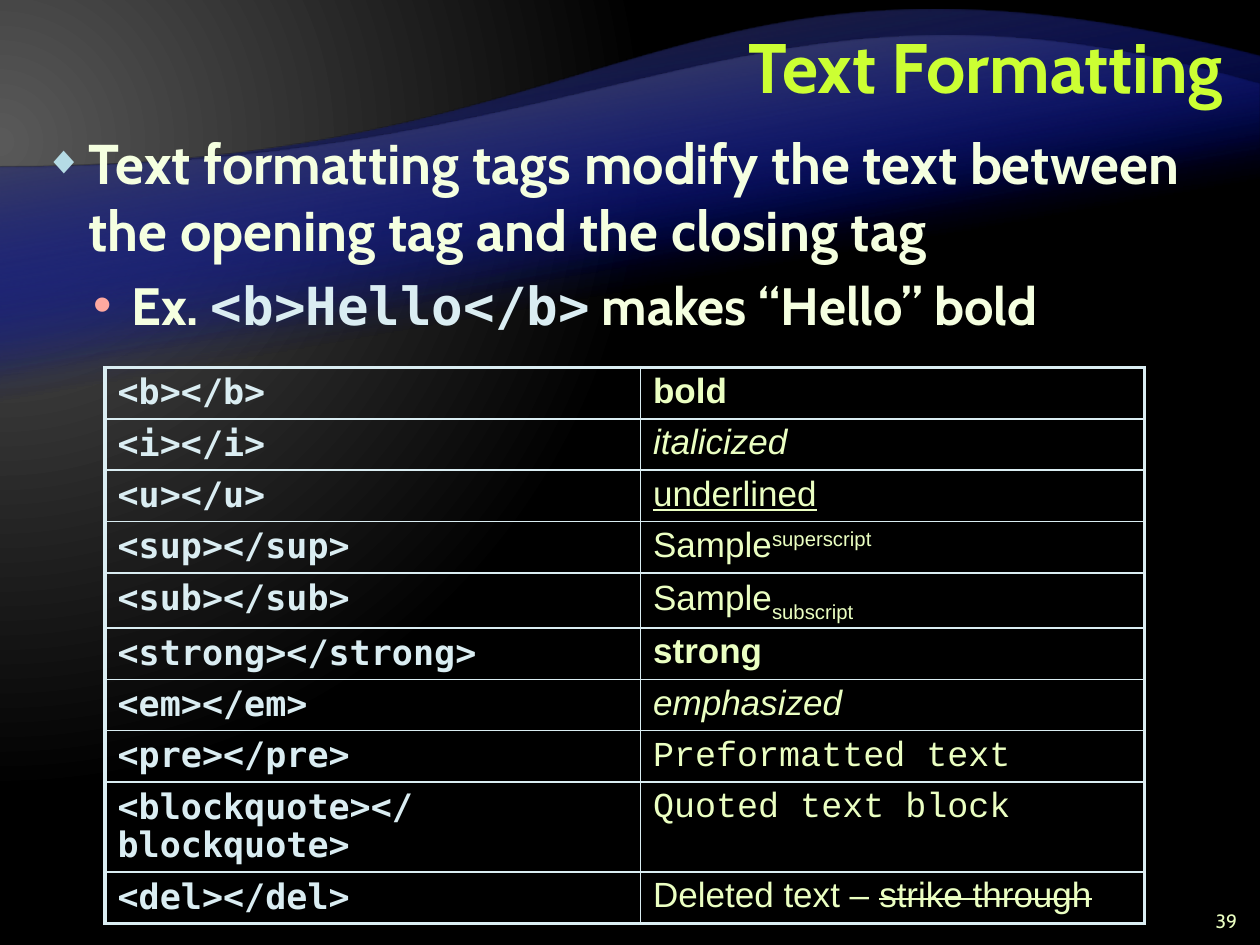
from lxml.etree import SubElement
from pptx import Presentation
from pptx.dml.color import RGBColor
from pptx.enum.text import MSO_ANCHOR, MSO_AUTO_SIZE, PP_ALIGN
from pptx.oxml import parse_xml
from pptx.oxml.ns import qn
from pptx.util import Pt

COLORS = {
    "title": "CCFF33", "body": "F5FFE0", "code": "DAEDF2", "sample": "EBFFC2",
    "diamond": "B5DBE5", "dot": "FFA9A0", "blue": "000D9E",
    "gray": "595959", "dark": "262626", "black": "000000",
}
NAMESPACE = 'xmlns:a="http://schemas.openxmlformats.org/drawingml/2006/main"'
SLIDE_WIDTH, SLIDE_HEIGHT = 720, 540

TITLE = {"size": Pt(40), "name": "Cabin", "bold": True, "color": "title"}
BODY = {"size": Pt(32), "name": "Cabin", "bold": True, "color": "body"}
SUB_BODY = {**BODY, "size": Pt(30)}
SUB_CODE = {**SUB_BODY, "name": "DejaVu Sans Mono", "color": "code"}
CODE = {**SUB_CODE, "size": Pt(20)}
SAMPLE = {"size": Pt(20), "name": "Arial", "bold": False, "color": "sample"}
MONO = {**SAMPLE, "name": "Courier New"}
NUMBER = {**SAMPLE, "size": Pt(11), "name": "Cabin"}

# Tag name and the runs that show its effect
TAGS = [
    ("b", [("bold", {**SAMPLE, "bold": True})]),
    ("i", [("italicized", {**SAMPLE, "italic": True})]),
    ("u", [("underlined", {**SAMPLE, "underline": True})]),
    ("sup", [("Sample", SAMPLE), ("superscript", {**SAMPLE, "xml": {"baseline": "30000"}})]),
    ("sub", [("Sample", SAMPLE), ("subscript", {**SAMPLE, "xml": {"baseline": "-25000"}})]),
    ("strong", [("strong", {**SAMPLE, "bold": True})]),
    ("em", [("emphasized", {**SAMPLE, "italic": True})]),
    ("pre", [("Preformatted text", MONO)]),
    ("blockquote", [("Quoted text block", MONO)]),
    ("del", [("Deleted text – ", SAMPLE),
             ("strike through", {**SAMPLE, "xml": {"strike": "sngStrike"}})]),
]

# Waves: right edge, bottom, left edge, second control point, gradient end
WAVES = [
    (32.4, 470.2, 95.8, (384.5, -54), "dark"),
    (48.2, 401, 95.8, (430.6, -35.3), "gray"),
]


def gradient(stops, direction):
    """Return a gradFill; a stop is position, colour name and opacity."""
    stop_xml = "".join(
        f'<a:gs pos="{position * 1000}"><a:srgbClr val="{COLORS[color]}">'
        f'<a:alpha val="{opacity * 1000}"/></a:srgbClr></a:gs>'
        for position, color, opacity in stops)
    return parse_xml(f'<a:gradFill {NAMESPACE} rotWithShape="1"><a:gsLst>{stop_xml}'
                     f'</a:gsLst>{direction}</a:gradFill>')


def replace_gradient(fill, parent, new_gradient):
    fill.gradient()
    old_gradient = next(parent.iter(qn("a:gradFill")))
    old_gradient.getparent().replace(old_gradient, new_gradient)


def paint_background(slide):
    direction = ('<a:path path="circle"><a:fillToRect l="20000" t="30000" '
                 'r="135000" b="100000"/></a:path>')
    replace_gradient(slide.background.fill, slide.element,
                     gradient([(0, "gray", 100), (83, "black", 100)], direction))


def add_wave(slide, right, bottom, left, control, end_color):
    """Draw a wave upside down, then turn it so that its gradient turns too."""
    def turn(x, y):
        return Pt(SLIDE_WIDTH - x), Pt(right + bottom - y)

    corners = [turn(*point) for point in
               ((SLIDE_WIDTH, bottom), (0, bottom), (0, left), (SLIDE_WIDTH, right))]
    builder = slide.shapes.build_freeform(*corners[0])
    builder.add_line_segments(corners[1:], close=True)
    shape = builder.convert_to_shape()

    # The crest is one curve in place of the last straight side
    crest = list(shape.element.iter(qn("a:lnTo")))[2]
    curve = parse_xml(f'<a:cubicBezTo {NAMESPACE}/>')
    for point in ((SLIDE_WIDTH / 2, left), control, (SLIDE_WIDTH, right)):
        x, y = turn(*point)
        node = SubElement(curve, qn("a:pt"))
        node.set("x", str(x))
        node.set("y", str(y - Pt(right)))
    crest.getparent().replace(crest, curve)

    shape.rotation = 180
    shape.shadow.inherit = False
    shape.line.fill.background()
    replace_gradient(shape.fill, shape.element,
                     gradient([(65, "blue", 0), (100, end_color, 100)],
                              '<a:lin ang="4800000" scaled="0"/>'))


def add_runs(paragraph, runs):
    for text, formats in runs:
        run = paragraph.add_run()
        run.text = text
        for name, value in formats.items():
            if name == "color":
                run.font.color.rgb = RGBColor.from_string(COLORS[value])
            elif name == "xml":
                for key, setting in value.items():
                    run.font._element.set(key, setting)
            else:
                setattr(run.font, name, value)


def place(shape, left, top, width, height):
    for name, value in zip(("left", "top", "width", "height"), (left, top, width, height)):
        setattr(shape, name, Pt(value))


def format_bullet(paragraph, margin, indent, character, color, size):
    properties = paragraph._p.get_or_add_pPr()
    properties.set("marL", str(Pt(margin)))
    properties.set("indent", str(Pt(-indent)))
    space = SubElement(properties, qn("a:spcBef"))
    SubElement(space, qn("a:spcPct")).set("val", "20000")
    bullet_color = SubElement(properties, qn("a:buClr"))
    SubElement(bullet_color, qn("a:srgbClr")).set("val", COLORS[color])
    SubElement(properties, qn("a:buSzPct")).set("val", str(size * 1000))
    SubElement(properties, qn("a:buFont")).set("typeface", "Arial")
    SubElement(properties, qn("a:buChar")).set("char", character)


def fill_title(slide):
    title = slide.shapes.title
    place(title, 190, 6, 516, 71)
    frame = title.text_frame
    frame.auto_size = MSO_AUTO_SIZE.NONE
    frame.vertical_anchor = MSO_ANCHOR.MIDDLE
    paragraph = frame.paragraphs[0]
    paragraph.alignment = PP_ALIGN.RIGHT
    paragraph.line_spacing = Pt(40)
    add_runs(paragraph, [("Text Formatting", TITLE)])


def fill_body(slide):
    body = slide.placeholders[1]
    place(body, 18, 69.6, 684, 452)
    frame = body.text_frame
    frame.auto_size = MSO_AUTO_SIZE.NONE
    main_point, example = frame.paragraphs[0], frame.add_paragraph()
    example.level = 1
    format_bullet(main_point, 25.4, 25.4, "◆", "diamond", 70)
    format_bullet(example, 49.8, 21.6, "•", "dot", 100)
    add_runs(main_point, [("Text formatting tags modify the text between "
                           "the opening tag and the closing tag", BODY)])
    add_runs(example, [("Ex. ", SUB_BODY), ("<b>Hello</b>", SUB_CODE),
                       (" makes “Hello” bold", SUB_BODY)])


def set_borders(cell, widths):
    properties = cell._tc.get_or_add_tcPr()
    for index, (side, width) in enumerate(zip("LRTB", widths)):
        properties.insert(index, parse_xml(
            f'<a:ln{side} {NAMESPACE} w="{Pt(width)}"><a:solidFill>'
            f'<a:srgbClr val="{COLORS["code"]}"/></a:solidFill></a:ln{side}>'))


def add_tag_table(slide):
    table = slide.shapes.add_table(len(TAGS), 2, Pt(60), Pt(210), Pt(594), Pt(300)).table
    table.first_row = table.horz_banding = False
    for column, width in zip(table.columns, (306, 288)):
        column.width = Pt(width)
    thin, thick = 1, 2.25
    last = len(TAGS) - 1
    for row, (tag, sample) in enumerate(TAGS):
        table.rows[row].height = Pt(48 if tag == "blockquote" else 28)
        for column, runs in enumerate(([(f"<{tag}></{tag}>", CODE)], sample)):
            cell = table.cell(row, column)
            cell.fill.background()
            outer = (column == 0, column == 1, row == 0, row == last)
            set_borders(cell, [thick if edge else thin for edge in outer])
            paragraph = cell.text_frame.paragraphs[0]
            paragraph.line_spacing = 0.95
            add_runs(paragraph, runs)


def add_slide_number(slide):
    box = slide.shapes.add_textbox(Pt(678), Pt(516), Pt(36), Pt(18))
    box.text_frame.word_wrap = True
    paragraph = box.text_frame.paragraphs[0]
    paragraph.alignment = PP_ALIGN.RIGHT
    add_runs(paragraph, [("39", NUMBER)])


def main():
    presentation = Presentation()
    presentation.slide_width, presentation.slide_height = Pt(SLIDE_WIDTH), Pt(SLIDE_HEIGHT)
    slide = presentation.slides.add_slide(presentation.slide_layouts[1])
    paint_background(slide)
    # The waves are laid twice for depth, behind the placeholders
    for wave in WAVES * 2:
        add_wave(slide, *wave)
    for placeholder in list(slide.placeholders):
        slide.shapes._spTree.append(placeholder.element)
    fill_title(slide)
    fill_body(slide)
    add_tag_table(slide)
    add_slide_number(slide)
    presentation.save("out.pptx")


if __name__ == "__main__":
    main()
